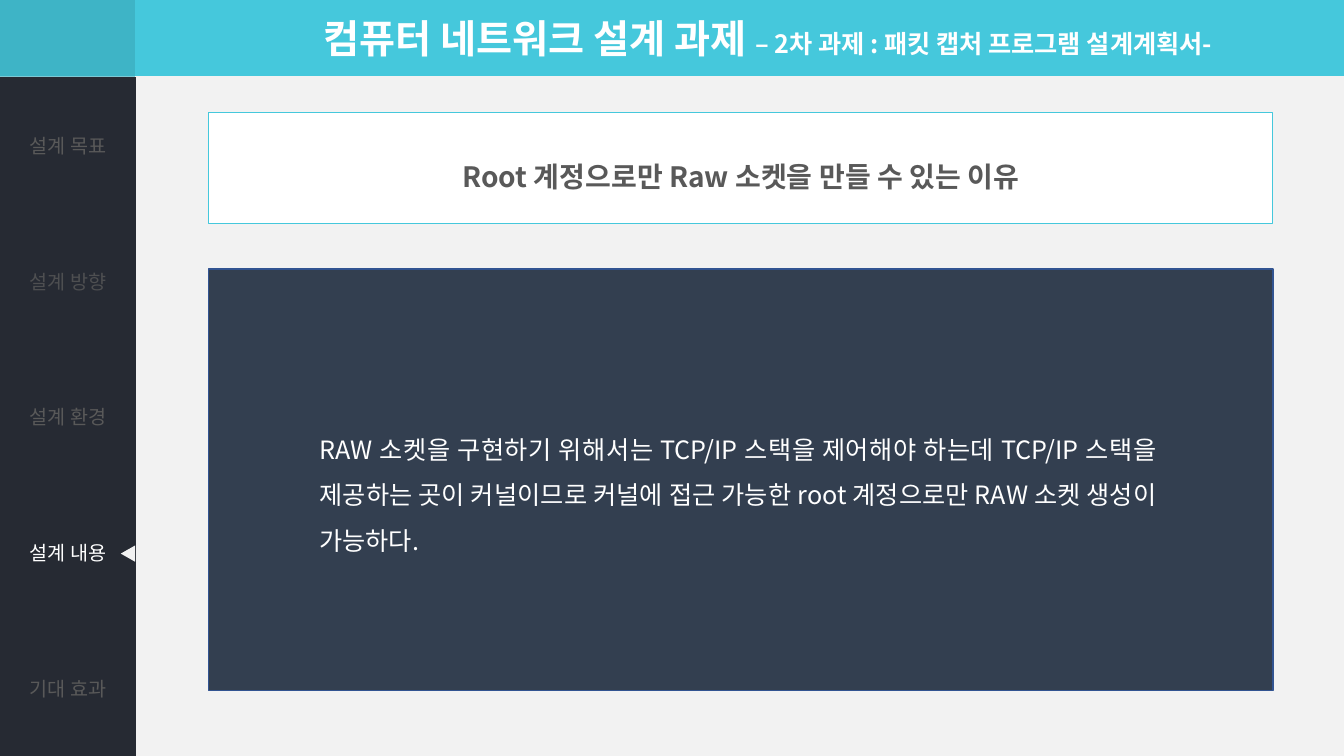
"""Build the design-plan slide with a header, a side menu and two content panels."""
from lxml.etree import SubElement as Sub
from pptx import Presentation
from pptx.dml.color import RGBColor as Rgb
from pptx.enum.shapes import MSO_SHAPE as Form
from pptx.enum.text import MSO_ANCHOR as Anchor, PP_ALIGN as Align
from pptx.oxml.ns import qn
from pptx.util import Cm, Pt

THEME = {
    "font": "Noto Sans CJK KR",
    "sky": "45C8DC", "teal": "3EB4C6", "pale": "F2F2F2", "white": "FFFFFF",
    "night": "262A33", "slate": "333F50", "blue": "325491",
    "gray": "595959", "dim": "4E4F51",
    "title": 28, "head": 20, "body": 18, "menu": 14,
}


def tint(name):
    return Rgb.from_string(THEME[name])


def write(frame, runs, color, bold=False, **style):
    frame.word_wrap = True
    frame.vertical_anchor = Anchor.MIDDLE
    para = frame.paragraphs[0]
    for key, value in style.items():
        setattr(para, key, value)
    for text, size in runs:
        run = para.add_run()
        run.text = text
        look = {"name": THEME["font"], "size": Pt(THEME[size]), "bold": bold}
        for key, value in look.items():
            setattr(run.font, key, value)
        run.font.color.rgb = tint(color)
        Sub(run.font._element, qn("a:ea"), typeface=THEME["font"])
    return para


deck = Presentation()
deck.slide_width, deck.slide_height = Cm(33.87), Cm(19.05)
slide = deck.slides.add_slide(deck.slide_layouts[6])
shapes = slide.shapes

back = slide.background.fill
back.gradient()
back.gradient_angle = 270
for stop, name in zip(back.gradient_stops, ("sky", "pale")):
    stop.position = 0.1
    stop.color.rgb = tint(name)

title = shapes.add_textbox(Cm(7.9), Cm(0.23), Cm(27.03), Cm(1.45))
write(title.text_frame, [
    ("컴퓨터 네트워크 설계 과제 ", "title"),
    ("– 2차 과제 : 패킷 캡처 프로그램 설계계획서-", "body"),
], "white", bold=True)

items = [("설계 목표", "gray"), ("설계 방향", "dim"), ("설계 환경", "gray"),
         ("설계 내용", "white"), ("기대 효과", "gray")]
top, wide, step = 1.93, 3.43, 3.425
holder = shapes.add_table(len(items), 1, 0, Cm(top), Cm(wide), Cm(step * len(items)))
menu = holder.table
menu.first_row = menu.horz_banding = False
menu._tbl.tblPr.find(qn("a:tableStyleId")).text = "{2D5ABB26-0587-4C30-8999-92F81FD0307C}"
for row, (label, color) in enumerate(items):
    cell = menu.cell(row, 0)
    cell.fill.solid()
    cell.fill.fore_color.rgb = tint("night")
    cell.vertical_anchor = Anchor.MIDDLE
    write(cell.text_frame, [(label, "menu")], color, alignment=Align.CENTER)

left, span = 5.26, 26.82
parts = {
    "corner": (Form.RECTANGLE, 0, 0, 3.4, top, "teal", None, 0),
    "marker": (Form.ISOSCELES_TRIANGLE, 3.02, 13.77, 0.41, 0.36, "pale", None, 0),
    "head": (Form.RECTANGLE, left, 2.84, span, 2.8, "white", "sky", 0.75),
    "panel": (Form.RECTANGLE, left, 6.78, span, 10.62, "slate", "blue", 1),
}
made = {}
for name, (form, x, y, w, h, fill, line, width) in parts.items():
    shape = made[name] = shapes.add_shape(form, Cm(x), Cm(y), Cm(w), Cm(h))
    shape.shadow.inherit = False
    shape.fill.solid()
    shape.fill.fore_color.rgb = tint(fill)
    if line:
        shape.line.color.rgb = tint(line)
        shape.line.width = Pt(width)
    else:
        shape.line.fill.background()
made["marker"].rotation = 270

write(made["head"].text_frame, [("Root 계정으로만 Raw 소켓을 만들 수 있는 이유", "head")],
      "gray", bold=True, alignment=Align.CENTER, line_spacing=1.5)

body = shapes.add_textbox(Cm(left), Cm(10.49), Cm(24.13), Cm(3.58))
para = write(body.text_frame, [(
    "RAW 소켓을 구현하기 위해서는 TCP/IP 스택을 제어해야 하는데 TCP/IP 스택을 제공하는 곳이 "
    "커널이므로 커널에 접근 가능한 root 계정으로만 RAW 소켓 생성이 가능하다.", "body")],
    "white", alignment=Align.JUSTIFY, line_spacing=1.5, level=2)
para._p.get_or_add_pPr().set("marL", str(Cm(2.54)))

deck.save("out.pptx")
